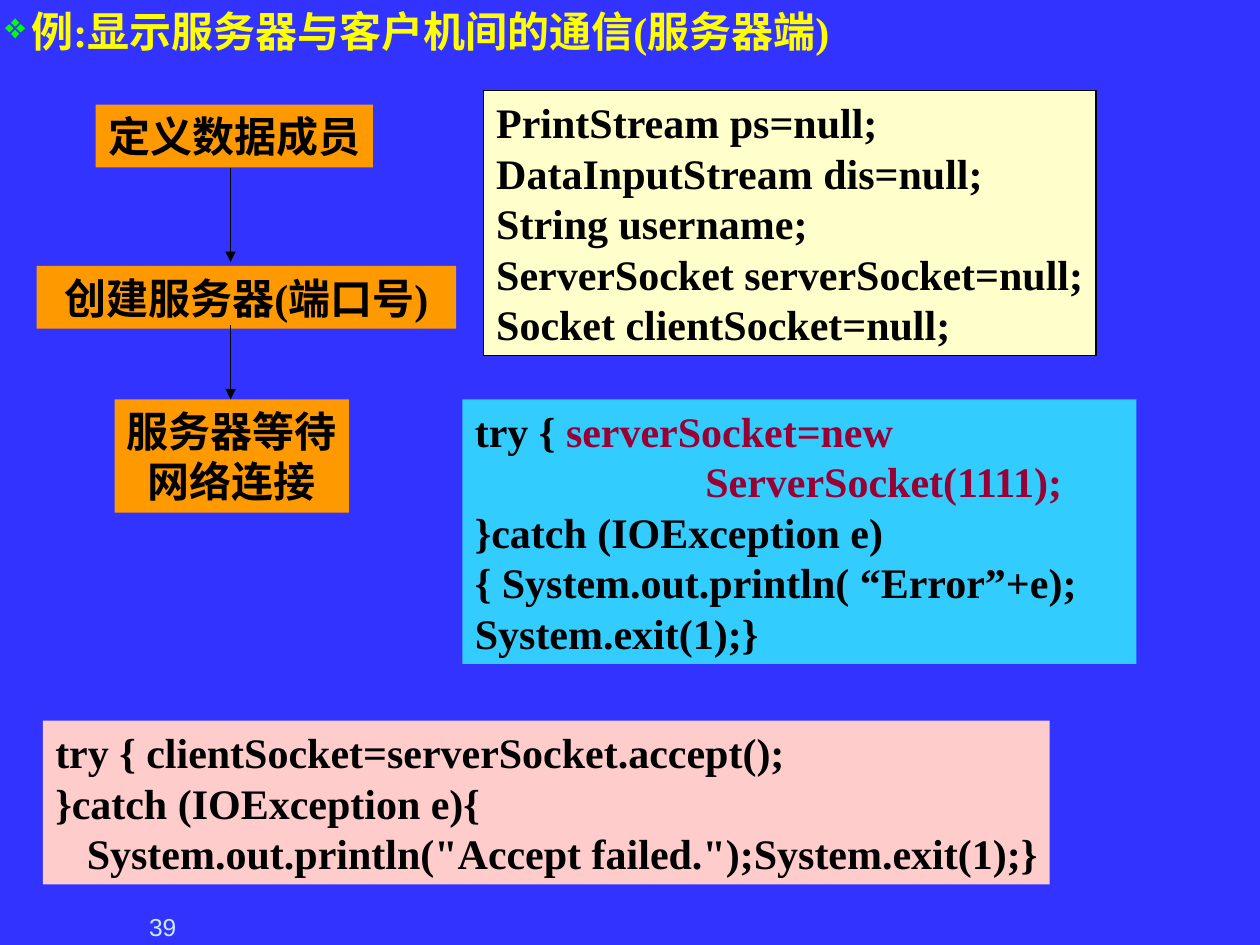
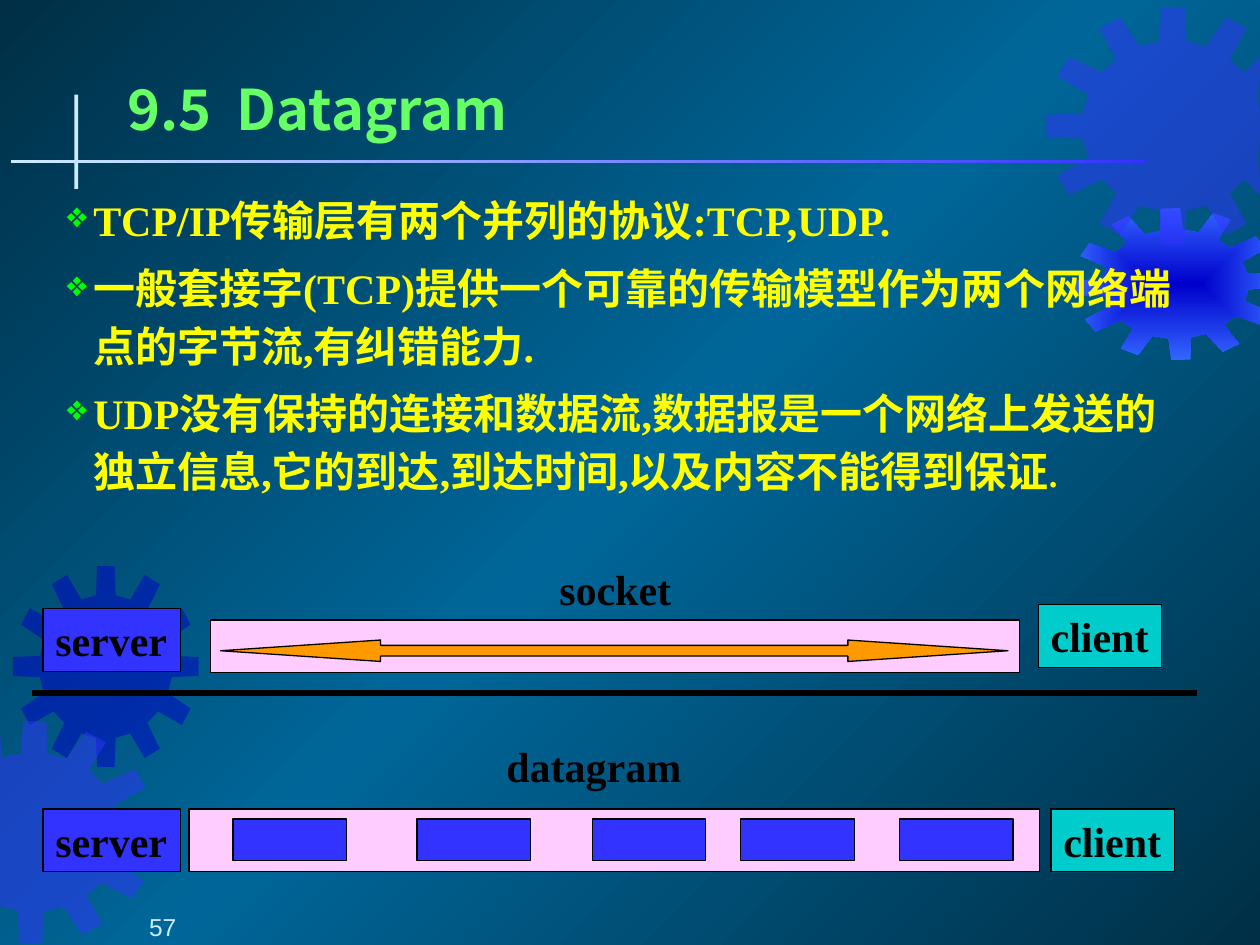
from dataclasses import dataclass
from math import cos, radians, sin

from lxml.etree import SubElement
from pptx import Presentation
from pptx.dml.color import RGBColor
from pptx.enum.shapes import MSO_CONNECTOR as Link, MSO_SHAPE as Kind
from pptx.enum.text import MSO_ANCHOR as Anchor, PP_ALIGN as Align
from pptx.oxml.ns import qn
from pptx.util import Inches, Pt


@dataclass(frozen=True)
class Theme:
    serif: str = "Times New Roman"
    sans: str = "Arial"
    head: str = "Noto Sans CJK SC"
    body: int = 24
    title: int = 32
    small: int = 20
    foot: int = 14
    thin: float = 0.75
    thick: float = 3
    black: str = "000000"
    blue: str = "3333FF"
    navy: str = "0000CC"
    azure: str = "3366FF"
    deep: str = "002F46"
    sea: str = "006699"
    pale: str = "CCECFF"
    yellow: str = "FFFF00"
    green: str = "66FF66"
    bullet: str = "00FF00"
    orange: str = "FF9900"
    cream: str = "FFFFCC"
    sky: str = "33CCFF"
    rose: str = "FFCCCC"
    pink: str = "FFCCFF"
    teal: str = "00CCCC"
    wine: str = "990033"


T = Theme()
PAD = (0.1, 0.05, 0.1, 0.05)
SLIM = (0.04, 0.04, 0.04, 0.04)


def rgb(code):
    return RGBColor.from_string(code)


def blend(owner, fill, stops, angle=None):
    fill.gradient()
    grad = owner.find(".//" + qn("a:gradFill"))
    for child in list(grad):
        grad.remove(child)
    marks = SubElement(grad, qn("a:gsLst"))
    for pos, code in stops:
        mark = SubElement(marks, qn("a:gs"), pos=str(pos * 1000))
        SubElement(mark, qn("a:srgbClr"), val=code)
    if angle is None:
        route = SubElement(grad, qn("a:path"), path="rect")
        SubElement(route, qn("a:fillToRect"), dict.fromkeys("ltrb", "50000"))
    else:
        SubElement(grad, qn("a:lin"), ang=str(angle * 60000), scaled="0")


def style(shape, fill, line=None):
    shape.shadow.inherit = False
    if fill:
        shape.fill.solid()
        shape.fill.fore_color.rgb = rgb(fill)
    if line:
        shape.line.color.rgb = rgb(line)
        shape.line.width = Pt(T.thin)
    else:
        shape.line.fill.background()
    return shape


def block(slide, box, fill, line=None, kind=Kind.RECTANGLE):
    return style(slide.shapes.add_shape(kind, *map(Inches, box)), fill, line)


def label(slide, box):
    return slide.shapes.add_textbox(*map(Inches, box))


def inked(font, name, size, color, bold=True):
    font.name, font.size, font.bold = name, Pt(size), bold
    font.color.rgb = rgb(color)


def frame(shape, pad=PAD, wrap=True, anchor=Anchor.TOP):
    text = shape.text_frame
    text.word_wrap, text.vertical_anchor = wrap, anchor
    (text.margin_left, text.margin_top,
     text.margin_right, text.margin_bottom) = map(Inches, pad)
    return text


def write(shape, lines, align=Align.LEFT, name=T.serif, size=T.body,
          color=T.black, bold=True, **opts):
    text = frame(shape, **opts)
    for i, line in enumerate(lines):
        para = text.paragraphs[0] if i == 0 else text.add_paragraph()
        para.text, para.alignment = line, align
        inked(para.font, name, size, color, bold)
    return text.paragraphs


def indent(para, left, first=0):
    props = para._p.get_or_add_pPr()
    props.set("marL", str(Inches(left)))
    props.set("indent", str(Inches(first)))
    return props


def bullet(para, before, spacing=None):
    para.space_before = Pt(before)
    if spacing:
        para.line_spacing = spacing
    props = indent(para, 0.21, -0.21)
    tint = SubElement(props, qn("a:buClr"))
    SubElement(tint, qn("a:srgbClr"), val=T.bullet)
    SubElement(props, qn("a:buSzPct"), val="85000")
    SubElement(props, qn("a:buChar"), char="❖")
    for late in props.findall(qn("a:defRPr")):
        props.append(late)


def rule(slide, start, end, width, arrow=False):
    line = slide.shapes.add_connector(
        Link.STRAIGHT, *map(Inches, start + end))
    line.line.color.rgb = rgb(T.black)
    line.line.width = Pt(width)
    if arrow:
        SubElement(line.line._get_or_add_ln(), qn("a:tailEnd"), type="triangle")
    SubElement(line._element.spPr, qn("a:effectLst"))


def number(slide, value):
    write(label(slide, (0, 7.05, 2.08, 0.42)), [value], Align.RIGHT, T.sans,
          T.foot, T.pale, False, pad=(0.1, 0, 0.68, 0), anchor=Anchor.BOTTOM)


def gear(slide, box, tilt=0, right=10):
    x, y, w, h = box
    points = []
    for tooth in range(0, 360, 30):
        for turn, reach in ((-8.5, 0.715), (-5.4, 1), (5.4, 1), (8.5, 0.715)):
            angle = radians(tooth + turn + tilt)
            across = x + w / 2 * (1 + reach * sin(angle))
            down = y + h / 2 * (1 - reach * cos(angle))
            points.append((Inches(min(max(across, 0), right)), Inches(down)))
    outline = slide.shapes.build_freeform(*points[0], scale=1.0)
    outline.add_line_segments(points[1:], close=True)
    return style(outline.convert_to_shape(), None)


def glass(shape, color):
    style(shape, color)
    tint = shape._element.spPr.find(".//" + qn("a:srgbClr"))
    SubElement(tint, qn("a:alpha"), val="50000")


def scene(slide):
    blend(slide.element, slide.background.fill,
          [(0, T.deep), (50, T.sea), (100, T.deep)], 225)
    glass(gear(slide, (0.1, 4.49, 1.48, 1.6)), T.navy)
    glass(gear(slide, (-0.72, 5.72, 1.96, 1.77), 1), T.blue)
    bright = gear(slide, (8.52, 1.65, 1.62, 1.21), -3, 10.14)
    blend(bright._element, bright.fill, [(0, T.navy), (100, T.azure)])
    glass(gear(slide, (8.3, 0.05, 2.02, 1.9)), T.blue)
    block(slide, (0.59, 0.75, 0.03, 0.75), T.pale)
    bar = block(slide, (0.09, 1.27, 9, 0.02), T.blue)
    blend(bar._element, bar.fill, [(0, T.blue), (100, T.pale)], 180)


def flow(slide, x, y):
    mid = x + 1.54
    steps = [(0.47, 0, 2.2, 0.5, ["定义数据成员"]),
             (0, 1.28, 3.33, 0.5, ["创建服务器(端口号)"]),
             (0.62, 2.34, 1.86, 0.9, ["服务器等待", "网络连接"])]
    for left, top, w, h, lines in steps:
        write(block(slide, (x + left, y + top, w, h), T.orange), lines,
              Align.CENTER, wrap=False)
    for start, end in ((0.5, 1.25), (1.75, 2.34)):
        rule(slide, (mid, y + start), (mid, y + end), T.thin, True)


def code(slide, box, fill, lines, line=None, wrap=False):
    return write(block(slide, box, fill, line), lines, wrap=wrap)


def listing(slide):
    panel = block(slide, (0, 0, 10, 7.5), T.blue)
    heading, = write(panel, ["例:显示服务器与客户机间的通信(服务器端)"],
                     color=T.yellow, pad=SLIM)
    bullet(heading, 3)
    code(slide, (3.84, 0.72, 4.86, 2.1), T.cream,
         ["PrintStream ps=null;", "DataInputStream dis=null;",
          "String username;", "ServerSocket serverSocket=null;",
          "Socket clientSocket=null;"], T.black)
    tries = code(slide, (3.67, 3.17, 5.35, 2.1), T.sky,
                 ["try { ", "ServerSocket(1111);", "}catch (IOException e)",
                  "{ System.out.println( “Error”+e);", "System.exit(1);}"],
                 wrap=True)
    made = tries[0].add_run()
    made.text = "serverSocket=new"
    for run in (made, tries[1].runs[0]):
        run.font.color.rgb = rgb(T.wine)
    indent(tries[1], 1.83)
    waits = code(slide, (0.34, 5.72, 7.99, 1.3), T.rose,
                 ["try { clientSocket=serverSocket.accept();",
                  "}catch (IOException e){",
                  'System.out.println("Accept failed.");System.exit(1);}'])
    indent(waits[2], 0.25)
    flow(slide, 0.29, 0.83)
    number(slide, "39")


def ends(slide, server, client):
    for spot, w, fill, name in ((server, 1.09, T.blue, "server"),
                                (client, 0.98, T.teal, "client")):
        write(block(slide, (*spot, w, 0.5), fill, T.black), [name], wrap=False)


def stream(slide, x, y):
    write(label(slide, (x + 4, y, 1.09, 0.5)), ["socket"], wrap=False)
    block(slide, (x + 1.33, y + 0.5, 6.42, 0.42), T.pink, T.black)
    arrow = block(slide, (x + 1.41, y + 0.66, 6.25, 0.17), T.orange, T.black,
                  Kind.LEFT_RIGHT_ARROW)
    arrow.adjustments[0], arrow.adjustments[1] = 0.5, 7.47
    ends(slide, (x, y + 0.41), (x + 7.9, y + 0.38))


def packets(slide, x, y):
    write(label(slide, (x + 3.58, y, 1.59, 0.5)), ["datagram"], wrap=False)
    block(slide, (x + 1.16, y + 0.59, 6.75, 0.5), T.pink, T.black)
    for left in (1.51, 2.97, 4.36, 5.54, 6.8):
        block(slide, (x + left, y + 0.67, 0.9, 0.33), T.blue, T.black)
    ends(slide, (x, y + 0.59), (x + 8, y + 0.59))


def datagram(slide):
    scene(slide)
    write(label(slide, (0.87, 0.54, 8.84, 0.63)), ["9.5  Datagram"],
          name=T.head, size=T.title, color=T.green,
          pad=(0.14, 0.05, 0.04, 0.05), anchor=Anchor.MIDDLE)
    points = write(label(slide, (0.49, 1.44, 9.05, 2.54)), [
        "TCP/IP传输层有两个并列的协议:TCP,UDP.",
        "一般套接字(TCP)提供一个可靠的传输模型作为两个网络端点的字节流,有纠错能力.",
        "UDP没有保持的连接和数据流,数据报是一个网络上发送的独立信息,"
        "它的到达,到达时间,以及内容不能得到保证"], color=T.yellow, pad=SLIM)
    for para, before in zip(points, (6, 6, 5)):
        bullet(para, before, 1.15)
    stop = points[-1].add_run()
    stop.text, stop.font.size = ".", Pt(T.small)
    stream(slide, 0.34, 4.42)
    rule(slide, (0.25, 5.5), (9.5, 5.5), T.thick)
    packets(slide, 0.34, 5.83)
    number(slide, "57")


def main():
    deck = Presentation()
    deck.slide_width, deck.slide_height = Inches(10), Inches(7.5)
    for build in (listing, datagram):
        build(deck.slides.add_slide(deck.slide_layouts[6]))
    deck.save("out.pptx")


if __name__ == "__main__":
    main()
